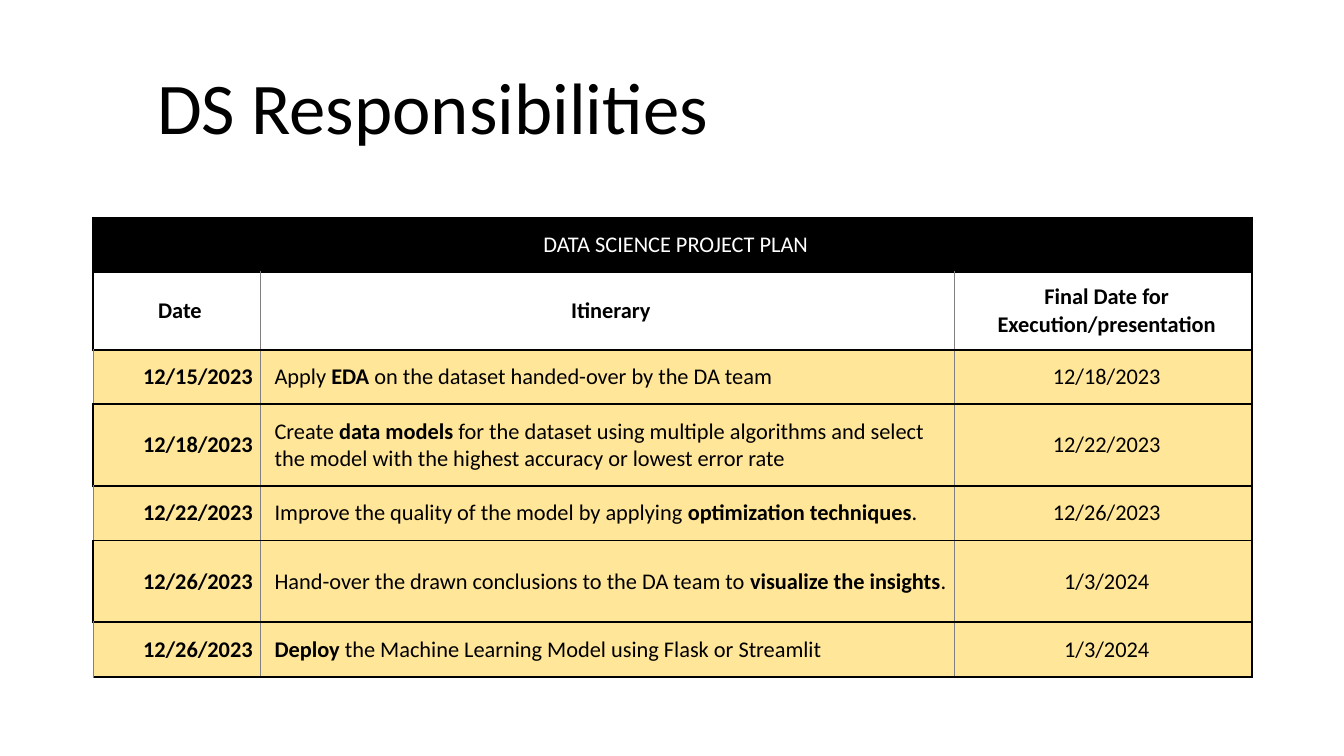
from lxml import etree
from pptx import Presentation
from pptx import util as u
from pptx.dml import color
from pptx.enum import text
from pptx.oxml import ns

BLACK, WHITE, GREY, YELLOW = "000000", "FFFFFF", "808080", "FFE699"
LEFT, CENTER, RIGHT = text.PP_ALIGN.LEFT, text.PP_ALIGN.CENTER, text.PP_ALIGN.RIGHT
THICK, THIN = (BLACK, 1.5), (GREY, 0.5)
COLUMN_WIDTHS = [4.22, 17.5, 7.49]
ROW_HEIGHTS = [1.37, 1.97, 1.37, 2.06, 1.37, 2.06, 1.37]
HEADINGS = ["Date", "Itinerary", "Final Date for Execution/presentation"]
TASKS = [
    ("12/15/2023", "Apply *EDA* on the dataset handed-over by the DA team", "12/18/2023"),
    ("12/18/2023", "Create *data models* for the dataset using multiple algorithms and select "
     "the model with the highest accuracy or lowest error rate", "12/22/2023"),
    ("12/22/2023", "Improve the quality of the model by applying *optimization techniques*.",
     "12/26/2023"),
    ("12/26/2023", "Hand-over the drawn conclusions to the DA team to *visualize the insights*.",
     "1/3/2024"),
    ("12/26/2023", "*Deploy* the Machine Learning Model using Flask or Streamlit", "1/3/2024"),
]


def rgb(value):
    return color.RGBColor.from_string(value)


def apply(target, values):
    for name, value in values.items():
        setattr(target, name, value)


def write(frame, content, align, size, ink=BLACK):
    para = frame.paragraphs[0]
    para.alignment = align
    for index, part in enumerate(content.split("*")):
        if part:
            span = para.add_run()
            span.text = part
            apply(span.font, {"name": "Calibri", "size": u.Pt(size), "bold": index % 2 == 1})
            span.font.color.rgb = rgb(ink)
    return para


def add_border(cell, side, style):
    ink, width = style
    line = etree.SubElement(cell._tc.get_or_add_tcPr(), ns.qn(f"a:ln{side}"), w=str(u.Pt(width)))
    fill = etree.SubElement(line, ns.qn("a:solidFill"))
    etree.SubElement(fill, ns.qn("a:srgbClr"), val=ink)


def format_cell(cell, sides, fill):
    apply(cell, {
        "vertical_anchor": text.MSO_ANCHOR.MIDDLE,
        "margin_left": u.Cm(0.36), "margin_right": u.Cm(0.19),
        "margin_top": u.Cm(0.28), "margin_bottom": u.Cm(0.28),
    })
    for side, style in zip("LRTB", sides):
        add_border(cell, side, style)
    if fill:
        cell.fill.solid()
        cell.fill.fore_color.rgb = rgb(fill)
    else:
        cell.fill.background()


def add_title(page, content):
    box = page.shapes.add_textbox(u.Cm(2.34), u.Cm(0.97), u.Cm(17.12), u.Cm(3.63))
    apply(box.text_frame, {"word_wrap": True, "vertical_anchor": text.MSO_ANCHOR.MIDDLE})
    write(box.text_frame, content, CENTER, 52).line_spacing = 0.9


def add_plan(page):
    table = page.shapes.add_table(
        len(ROW_HEIGHTS), len(COLUMN_WIDTHS), u.Cm(2.34), u.Cm(5.48),
        u.Cm(sum(COLUMN_WIDTHS)), u.Cm(sum(ROW_HEIGHTS))).table
    apply(table, {"first_row": False, "horz_banding": False})
    for column, width in zip(table.columns, COLUMN_WIDTHS):
        column.width = u.Cm(width)
    for row, height in zip(table.rows, ROW_HEIGHTS):
        row.height = u.Cm(height)

    table.cell(0, 0).merge(table.cell(0, 2))
    for cell in table.rows[0].cells:
        format_cell(cell, [THICK] * 4, BLACK)
    write(table.cell(0, 0).text_frame, "DATA SCIENCE PROJECT PLAN", CENTER, 16, WHITE)

    rows = [[f"*{heading}*" for heading in HEADINGS]]
    rows += [[f"*{start}*", task, end] for start, task, end in TASKS]
    for number, contents in enumerate(rows, 1):
        heading = number == 1
        aligns = [CENTER] * 3 if heading else [RIGHT, LEFT, CENTER]
        for column, (content, align) in enumerate(zip(contents, aligns)):
            cell = table.cell(number, column)
            left = THICK if column == 0 and number % 2 else THIN
            right = THICK if column == 2 else THIN
            format_cell(cell, [left, right, THICK, THICK], None if heading else YELLOW)
            write(cell.text_frame, content, align, 16)


def main():
    deck = Presentation()
    apply(deck, {"slide_width": u.Cm(33.87), "slide_height": u.Cm(19.05)})
    page = deck.slides.add_slide(deck.slide_layouts[6])
    add_title(page, "DS Responsibilities")
    add_plan(page)
    deck.save("out.pptx")


if __name__ == "__main__":
    main()
